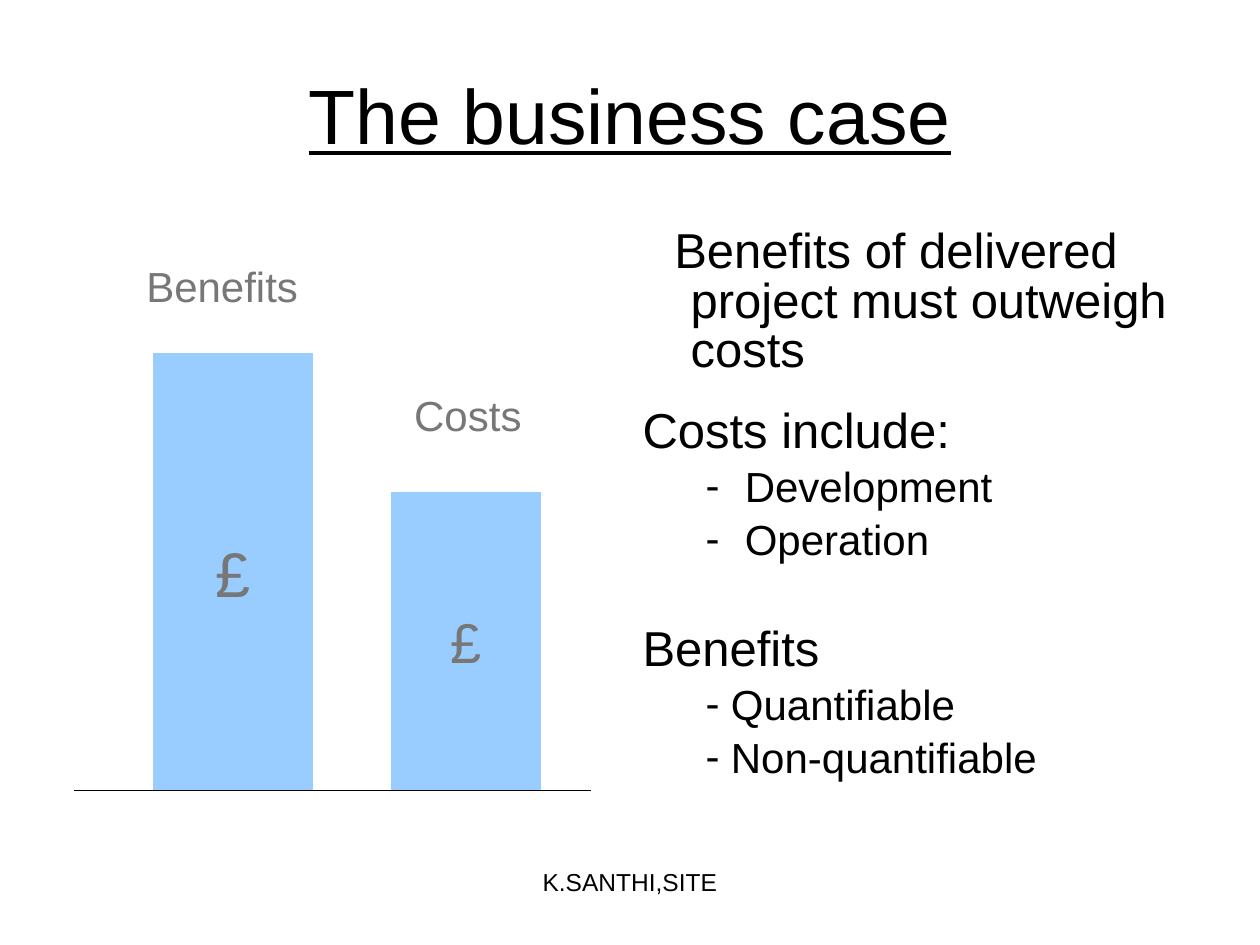
import pptx
import pptx.dml.color
import pptx.enum.shapes
import pptx.enum.text
import pptx.oxml
import pptx.oxml.ns
import pptx.util

Cm = pptx.util.Cm
Pt = pptx.util.Pt
align = pptx.enum.text.PP_ALIGN
anchor = pptx.enum.text.MSO_ANCHOR


def color(value):
    return pptx.dml.color.RGBColor.from_string(value)


def add_run(para, text, size, value):
    span = para.add_run()
    span.text = text
    span.font.name = "Arial"
    span.font.size = Pt(size)
    span.font.color.rgb = color(value)
    return span


deck = pptx.Presentation()
deck.slide_width = Cm(25.4)
deck.slide_height = Cm(19.05)
page = deck.slides.add_slide(deck.slide_layouts[1])

title = page.shapes.title
title.left, title.top, title.width, title.height = Cm(1.9), Cm(0.71), Cm(21.6), Cm(3.18)
title.text_frame.vertical_anchor = anchor.MIDDLE
title.text_frame.auto_size = pptx.enum.text.MSO_AUTO_SIZE.NONE
para = title.text_frame.paragraphs[0]
para.alignment = align.CENTER
add_run(para, "The business case", 44, "000000").font.underline = True

body = page.placeholders[1]
body.left, body.top, body.width, body.height = Cm(12.7), Cm(4.32), Cm(12), Cm(11.28)
frame = body.text_frame
frame.auto_size = pptx.enum.text.MSO_AUTO_SIZE.NONE
frame.vertical_anchor = anchor.TOP
frame.margin_top = Cm(0.3)

points = [
    ("Benefits of delivered project must outweigh costs", 0, 0.97, 0.33, 0),
    ("Costs include:", 0, 0.97, 0.97, 18),
    ("Development", 1, 2.06, 0.79, 6),
    ("Operation", 1, 2.06, 0.79, 6),
    ("Benefits", 0, 0.97, 0.97, 36),
    ("Quantifiable", 1, 1.78, 0.51, 6),
    ("Non-quantifiable", 1, 1.78, 0.51, 6),
]
for index, (text, level, margin, hanging, before) in enumerate(points):
    para = frame.add_paragraph() if index else frame.paragraphs[0]
    para.level = level
    properties = para._p.get_or_add_pPr()
    properties.set("marL", str(Cm(margin)))
    properties.set("indent", str(-Cm(hanging)))
    if level:
        bullet = pptx.oxml.parse_xml('<a:buChar %s char="-"/>' % pptx.oxml.ns.nsdecls("a"))
    else:
        bullet = pptx.oxml.parse_xml("<a:buNone %s/>" % pptx.oxml.ns.nsdecls("a"))
    properties.append(bullet)
    para.alignment = align.LEFT
    para.line_spacing = 0.84
    para.space_before = Pt(before)
    add_run(para, text, 24 if level else 28, "000000")

baseline = 15.93
bars = [(3.1, 3.2, 8.8, 36), (7.9, 3, 6, 32)]
for left, width, height, size in bars:
    bar = page.shapes.add_shape(
        pptx.enum.shapes.MSO_SHAPE.RECTANGLE,
        Cm(left), Cm(baseline - height), Cm(width), Cm(height))
    bar.shadow.inherit = False
    bar.fill.solid()
    bar.fill.fore_color.rgb = color("99CCFF")
    bar.line.color.rgb = color("99CCFF")
    bar.line.width = Pt(0.75)
    bar.text_frame.word_wrap = False
    bar.text_frame.vertical_anchor = anchor.MIDDLE
    para = bar.text_frame.paragraphs[0]
    para.alignment = align.CENTER
    add_run(para, "£", size, "777777")

axis = page.shapes.add_connector(
    pptx.enum.shapes.MSO_CONNECTOR.STRAIGHT,
    Cm(1.5), Cm(baseline), Cm(11.91), Cm(baseline))
axis.line.color.rgb = color("000000")
axis.line.width = Pt(0.75)
axis._element.spPr.append(pptx.oxml.parse_xml("<a:effectLst %s/>" % pptx.oxml.ns.nsdecls("a")))

labels = [
    ("Benefits", 2.7, 5.13, 3.56, 1.27, 24, "777777", align.LEFT, False),
    ("Costs", 8.1, 7.72, 2.67, 1.27, 24, "777777", align.LEFT, False),
    ("K.SANTHI,SITE", 8.68, 17.35, 8.04, 1.32, 14, "000000", align.CENTER, True),
]
for text, left, top, width, height, size, value, alignment, wrap in labels:
    box = page.shapes.add_textbox(Cm(left), Cm(top), Cm(width), Cm(height))
    box.text_frame.word_wrap = wrap
    para = box.text_frame.paragraphs[0]
    para.alignment = alignment
    add_run(para, text, size, value)

deck.save("out.pptx")
